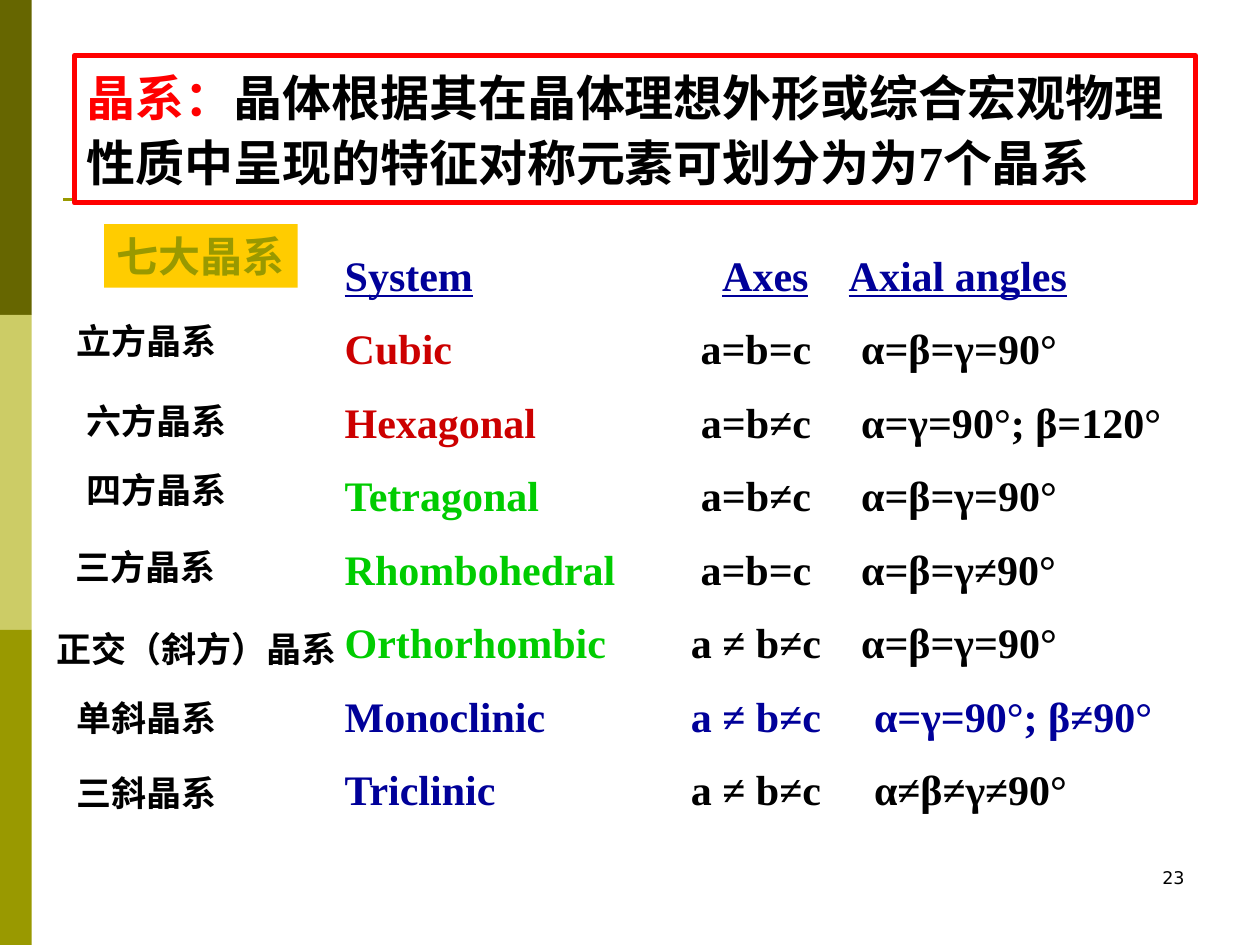
from pptx import Presentation
from pptx.dml.color import RGBColor
from pptx.enum.shapes import MSO_CONNECTOR, MSO_SHAPE
from pptx.enum.text import MSO_ANCHOR, PP_ALIGN
from pptx.oxml.ns import qn
from pptx.util import Cm, Pt
from lxml import etree

RECTANGLE = MSO_SHAPE.RECTANGLE
STRAIGHT = MSO_CONNECTOR.STRAIGHT
TOP = MSO_ANCHOR.TOP
LEFT, CENTER, RIGHT = PP_ALIGN.LEFT, PP_ALIGN.CENTER, PP_ALIGN.RIGHT

THEME = {
    "white": "FFFFFF", "black": "000000", "red": "FF0000", "crimson": "CC0000",
    "green": "00CC00", "navy": "000099", "gold": "FFCC00",
    "dark olive": "666600", "light olive": "CCCC66", "olive": "999900",
    "serif": "Times New Roman", "sans": "Arial", "number": "DejaVu Sans",
    "title size": 28, "table size": 24, "label size": 20, "number size": 10,
}

TITLE = [
    ("晶系：", "red"),
    ("晶体根据其在晶体理想外形或综合宏观物理性质中呈现的特征对称元素可划分为为7个晶系", "black"),
]
BADGE = "七大晶系"
PAGE_NUMBER = "23"
HEADER = ("System", "Axes", "Axial angles")
SYSTEMS = [
    ("Cubic", "a=b=c", "α=β=γ=90°", "crimson", "black"),
    ("Hexagonal", "a=b≠c", "α=γ=90°; β=120°", "crimson", "black"),
    ("Tetragonal", "a=b≠c", "α=β=γ=90°", "green", "black"),
    ("Rhombohedral", "a=b=c", "α=β=γ≠90°", "green", "black"),
    ("Orthorhombic", "a ≠ b≠c", "α=β=γ=90°", "green", "black"),
    ("Monoclinic", "a ≠ b≠c", "α=γ=90°; β≠90°", "navy", "navy"),
    ("Triclinic", "a ≠ b≠c", "α≠β≠γ≠90°", "navy", "black"),
]
HEADER_TABS, SYSTEM_TABS, OBLIQUE_TABS = (8.48, 10.16), (8.29, 10.41), (8.29, 10.67)
OBLIQUE = {"Monoclinic", "Triclinic"}
LABELS = [
    ([("立方晶系", "sans")], 1.3, 6.32),
    ([("六方晶系", "sans")], 1.5, 7.92),
    ([("四方晶系", "sans")], 1.5, 9.32),
    ([("三方晶系", "sans")], 1.27, 10.87),
    ([("正交（", "sans"), ("斜方）", "serif"), ("晶系", "sans")], 0.89, 12.52),
    ([("单斜晶系", "sans")], 1.3, 13.92),
    ([("三斜晶系", "sans")], 1.3, 15.42),
]
BAND_COLORS = ["dark olive", "light olive", "olive"]
BAND_WIDTH, BAND_HEIGHT = 0.64, 6.35


def color(name):
    """Return a theme colour."""
    return RGBColor.from_string(THEME[name])


def add_rectangle(page, left, top, width, height, fill, line=None):
    """Draw a flat rectangle."""
    box = page.shapes.add_shape(RECTANGLE, Cm(left), Cm(top), Cm(width), Cm(height))
    box.shadow.inherit = False
    box.fill.solid()
    box.fill.fore_color.rgb = color(fill)
    if line:
        box.line.color.rgb = color(line)
        box.line.width = Pt(3)
    else:
        box.line.fill.background()
    return box


def add_text_box(page, left, top, width, height):
    """Add an empty text box."""
    return page.shapes.add_textbox(Cm(left), Cm(top), Cm(width), Cm(height))


def start_text(box, align=LEFT, wrap=True):
    """Prepare the text frame and return its first paragraph."""
    frame = box.text_frame
    frame.word_wrap = wrap
    frame.vertical_anchor = TOP
    para = frame.paragraphs[0]
    para.alignment = align
    return para


def add_span(para, text, size, ink, font="serif", bold=True, underline=False):
    """Add one formatted run."""
    span = para.add_run()
    span.text = text
    span.font.name = THEME[font]
    span.font.size = Pt(THEME[size])
    span.font.bold = bold
    span.font.underline = underline
    span.font.color.rgb = color(ink)


def add_tabs(para, positions):
    """Set a centred tab stop followed by a left one."""
    stops = etree.SubElement(para._p.get_or_add_pPr(), qn("a:tabLst"))
    for position, align in zip(positions, ("ctr", "l")):
        etree.SubElement(stops, qn("a:tab"), pos=str(Cm(position)), algn=align)


def add_frame(page):
    """Draw the side bands, the rule and the page number."""
    for index, name in enumerate(BAND_COLORS):
        add_rectangle(page, 0, index * BAND_HEIGHT, BAND_WIDTH, BAND_HEIGHT, name)
    rule = page.shapes.add_connector(STRAIGHT, Cm(1.27), Cm(4.02), Cm(23.7), Cm(4.02))
    rule.line.color.rgb = color("olive")
    rule.line.width = Pt(1.5)
    etree.SubElement(rule._element.spPr, qn("a:effectLst"))
    para = start_text(add_text_box(page, 18.2, 17.35, 5.93, 1.27), RIGHT)
    add_span(para, PAGE_NUMBER, "number size", "black", "number", bold=False)


def add_headings(page):
    """Add the framed definition and the badge."""
    badge = add_rectangle(page, 2.1, 4.52, 3.9, 1.28, "gold")
    add_span(start_text(badge, CENTER, False), BADGE, "table size", "olive")
    title = add_rectangle(page, 1.5, 1.12, 22.6, 2.97, "white", "red")
    para = start_text(title)
    para.line_spacing = 1.1
    for text, ink in TITLE:
        add_span(para, text, "title size", ink)


def add_systems(page):
    """List the systems in tabbed columns."""
    box = add_text_box(page, 6.7, 4.9, 17.4, 11.8)
    para = start_text(box)
    add_tabs(para, HEADER_TABS)
    for index, text in enumerate(HEADER):
        if index:
            add_span(para, "\t", "table size", "navy")
        add_span(para, text, "table size", "navy", underline=True)
    for name, axes, angles, name_ink, value_ink in SYSTEMS:
        para = box.text_frame.add_paragraph()
        add_tabs(para, OBLIQUE_TABS if name in OBLIQUE else SYSTEM_TABS)
        para.space_before = Pt(13.2)
        add_span(para, name, "table size", name_ink)
        add_span(para, f"\t{axes}\t{angles}", "table size", value_ink)


def add_labels(page):
    """Add the Chinese system names."""
    for spans, left, top in LABELS:
        wide = len(spans) > 1
        box = add_text_box(page, left, top, 6.2 if wide else 3.35, 1.09)
        para = start_text(box, wrap=wide)
        for text, font in spans:
            add_span(para, text, "label size", "black", font)


def main():
    """Build and save the deck."""
    deck = Presentation()
    deck.slide_width, deck.slide_height = Cm(25.4), Cm(19.05)
    page = deck.slides.add_slide(deck.slide_layouts[6])
    add_frame(page)
    add_headings(page)
    add_systems(page)
    add_labels(page)
    deck.save("out.pptx")


if __name__ == "__main__":
    main()
